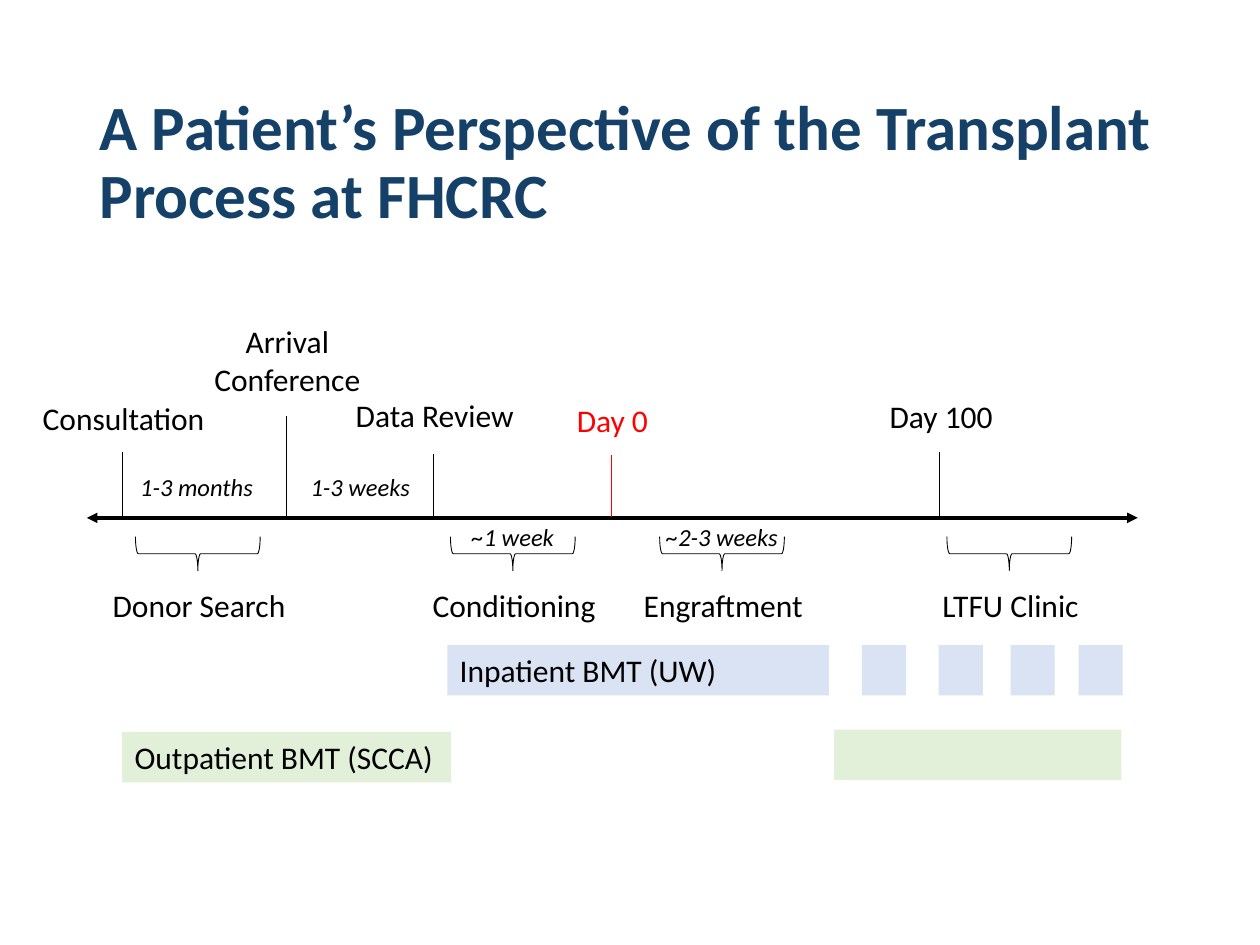
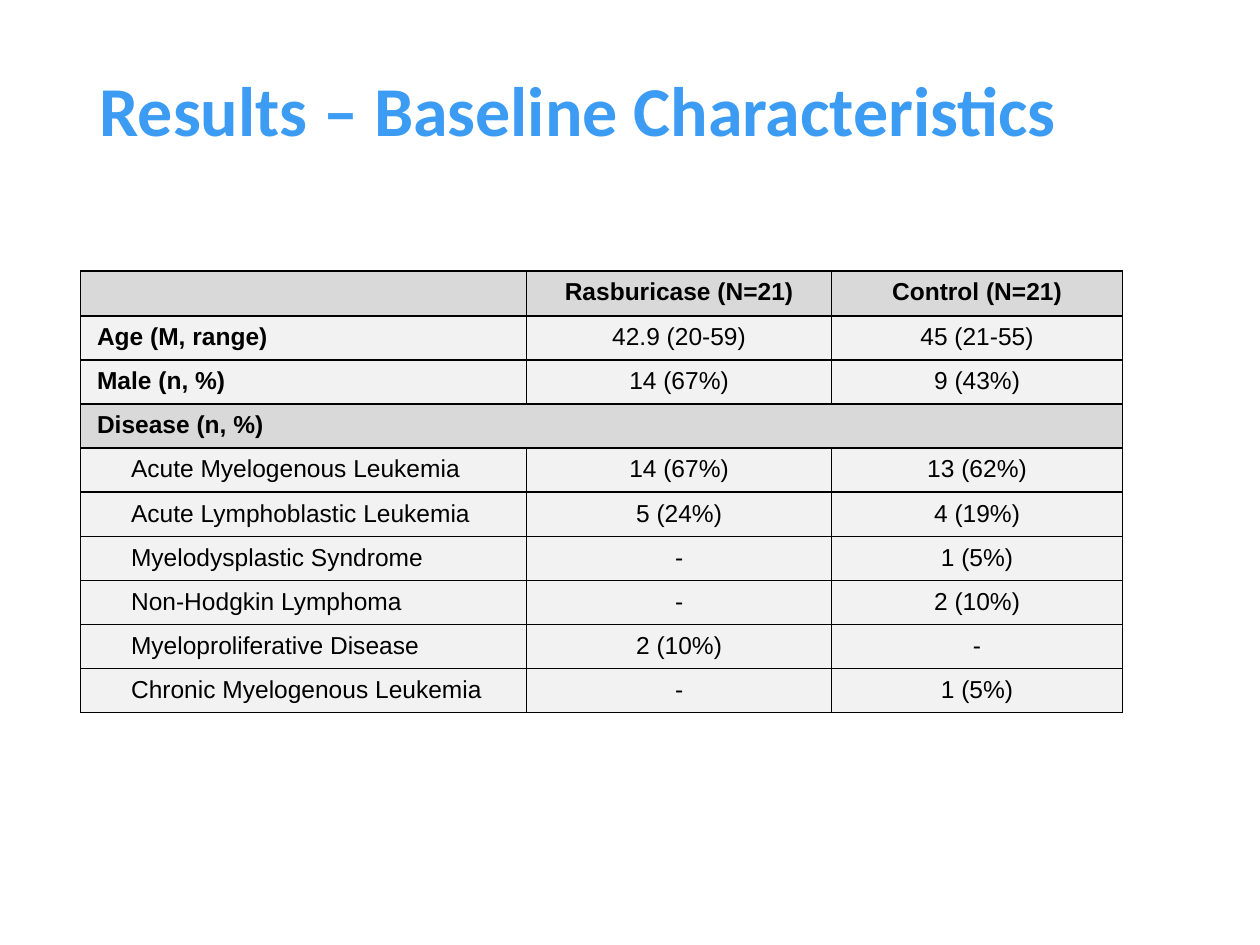
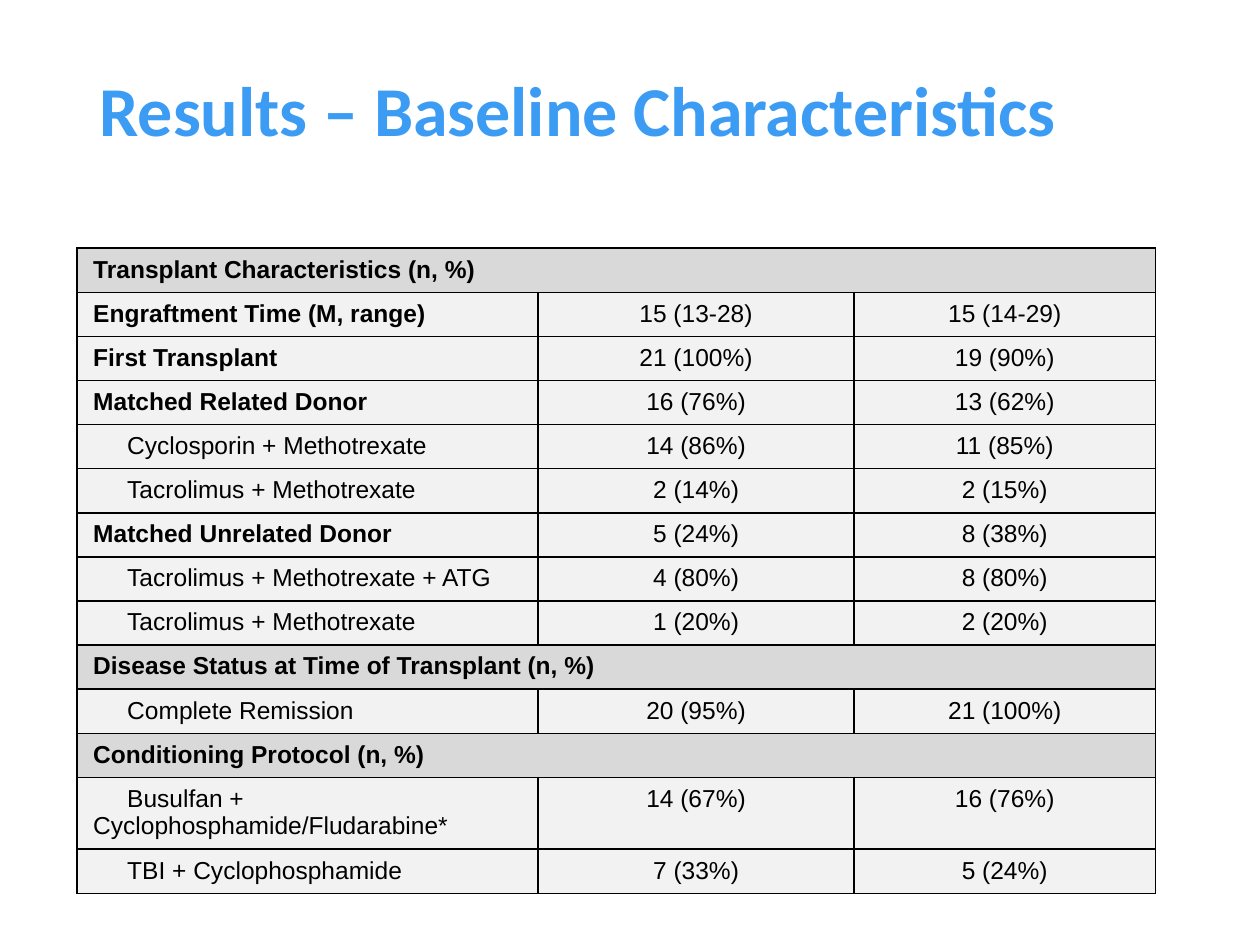
import dataclasses

import lxml.etree
import pptx
import pptx.dml.color
import pptx.enum.shapes
import pptx.enum.text
import pptx.oxml.ns
import pptx.util

Inches = pptx.util.Inches
Pt = pptx.util.Pt
Align = pptx.enum.text.PP_ALIGN
Shape = pptx.enum.shapes.MSO_SHAPE
qn = pptx.oxml.ns.qn


@dataclasses.dataclass(frozen=True)
class Theme:
    heading_font: str = "Calibri"
    table_font: str = "Arial"
    navy: str = "154067"
    blue: str = "3C9CF4"
    black: str = "000000"
    red: str = "FF0000"
    inpatient: str = "DAE3F3"
    outpatient: str = "E2F0D9"
    section: str = "D9D9D9"
    row: str = "F2F2F2"
    long_title_size: int = 36
    title_size: int = 40
    label_size: int = 18
    small_size: int = 14
    hairline: float = 0.5
    axis_line: float = 2


def rgb(color):
    return pptx.dml.color.RGBColor.from_string(color)


class Deck:
    def __init__(self, theme):
        self.theme = theme
        self.presentation = pptx.Presentation()
        self.presentation.slide_width = Inches(10)
        self.presentation.slide_height = Inches(7.5)
        self.slide = None

    def add_slide(self, title, top, height, size, color):
        layout = self.presentation.slide_layouts.get_by_name("Title Only")
        self.slide = self.presentation.slides.add_slide(layout)
        shape = self.slide.shapes.title
        shape.left, shape.top = Inches(0.69), Inches(top)
        shape.width, shape.height = Inches(8.62), Inches(height)
        frame = shape.text_frame
        frame.auto_size = pptx.enum.text.MSO_AUTO_SIZE.NONE
        frame.vertical_anchor = pptx.enum.text.MSO_ANCHOR.MIDDLE
        paragraph = frame.paragraphs[0]
        paragraph.line_spacing = 0.9
        self.add_text(paragraph, title, size, color, Align.LEFT, bold=True)

    def add_text(self, paragraph, text, size, color, alignment,
                 font=None, bold=False, italic=False):
        paragraph.alignment = alignment
        run = paragraph.add_run()
        run.text = text
        run.font.name = font or self.theme.heading_font
        run.font.size = Pt(size)
        run.font.color.rgb = rgb(color)
        run.font.bold = bold
        run.font.italic = italic

    def label(self, text, center, top, width, height=0.4, size=None,
              color=None, italic=False):
        """Add text centred on a horizontal position."""
        box = self.slide.shapes.add_textbox(
            Inches(center - width / 2), Inches(top), Inches(width), Inches(height))
        box.text_frame.word_wrap = True
        self.add_text(box.text_frame.paragraphs[0], text, size or self.theme.label_size,
                      color or self.theme.black, Align.CENTER, italic=italic)

    def line(self, start, end, color, width, arrows=False):
        connector = self.slide.shapes.add_connector(
            pptx.enum.shapes.MSO_CONNECTOR.STRAIGHT,
            *(Inches(value) for value in start + end))
        connector.line.color.rgb = rgb(color)
        connector.line.width = Pt(width)
        properties = connector._element.spPr
        if arrows:
            outline = properties.find(qn("a:ln"))
            for tag in ("a:headEnd", "a:tailEnd"):
                lxml.etree.SubElement(outline, qn(tag), type="triangle")
        lxml.etree.SubElement(properties, qn("a:effectLst"))

    def brace(self, center, top):
        """Add a brace that opens upwards."""
        width, height = 0.27, 0.99
        shape = self.slide.shapes.add_shape(
            Shape.RIGHT_BRACE, Inches(center - width / 2), Inches(top),
            Inches(width), Inches(height))
        shape.rotation = 90
        shape.shadow.inherit = False
        shape.fill.background()
        shape.line.color.rgb = rgb(self.theme.black)
        shape.line.width = Pt(self.theme.hairline)

    def bar(self, left, top, width, color, text=None):
        shape = self.slide.shapes.add_shape(
            Shape.RECTANGLE, Inches(left), Inches(top), Inches(width), Inches(0.4))
        shape.shadow.inherit = False
        shape.fill.solid()
        shape.fill.fore_color.rgb = rgb(color)
        shape.line.fill.background()
        if text:
            shape.text_frame.word_wrap = True
            self.add_text(shape.text_frame.paragraphs[0], text, self.theme.label_size,
                          self.theme.black, Align.LEFT)

    def table(self, left, top, column_widths, rows, tall_rows=()):
        """Add a table of (kind, cell, ...) rows; a section row spans the table."""
        heights = [0.57 if index in tall_rows else 0.35 for index in range(len(rows))]
        table = self.slide.shapes.add_table(
            len(rows), len(column_widths), Inches(left), Inches(top),
            Inches(sum(column_widths)), Inches(sum(heights))).table
        table.first_row = table.horz_banding = False
        for column, width in zip(table.columns, column_widths):
            column.width = Inches(width)
        for index, (kind, *texts) in enumerate(rows):
            table.rows[index].height = Inches(heights[index])
            texts += [""] * (len(column_widths) - len(texts))
            for position, text in enumerate(texts):
                self.table_cell(table.cell(index, position), text, kind, position == 0)
            if kind == "section":
                table.cell(index, 0).merge(table.cell(index, len(column_widths) - 1))

    def table_cell(self, cell, text, kind, is_first):
        theme = self.theme
        cell.margin_left = cell.margin_right = Inches(0.13)
        cell.margin_top = cell.margin_bottom = Inches(0.06)
        properties = cell._tc.get_or_add_tcPr()
        for side in ("L", "R", "T", "B"):
            border = lxml.etree.SubElement(properties, qn("a:ln" + side), w=str(Pt(1)))
            fill = lxml.etree.SubElement(border, qn("a:solidFill"))
            lxml.etree.SubElement(fill, qn("a:srgbClr"), val=theme.black)
        cell.fill.solid()
        cell.fill.fore_color.rgb = rgb(
            theme.section if kind in ("header", "section") else theme.row)
        paragraph = cell.text_frame.paragraphs[0]
        if not text:
            lxml.etree.SubElement(paragraph._p, qn("a:endParaRPr"),
                                  sz=str(theme.small_size * 100))
            return
        self.add_text(paragraph, text, theme.small_size, theme.black,
                      Align.LEFT if is_first else Align.CENTER, font=theme.table_font,
                      bold=kind == "header" or (is_first and kind != "detail"))
        if is_first and kind == "detail":
            paragraph._p.get_or_add_pPr().set("indent", str(Inches(0.27)))


def add_timeline(deck):
    theme = deck.theme
    deck.add_slide("A Patient’s Perspective of the Transplant Process at FHCRC",
                   0.7, 1.2, theme.long_title_size, theme.navy)
    axis = 4.11
    deck.line((0.69, axis), (9.03, axis), theme.black, theme.axis_line, arrows=True)

    events = [
        ("Consultation", 0.98, 3.12, 1.69, 0.4, 3.59, theme.black),
        ("Arrival Conference", 2.28, 2.51, 1.69, 0.71, 3.3, theme.black),
        ("Data Review", 3.45, 3.09, 1.69, 0.4, 3.6, theme.black),
        ("Day 0", 4.86, 3.13, 1.02, 0.4, 3.61, theme.red),
        ("Day 100", 7.47, 3.1, 1.26, 0.4, 3.59, theme.black),
    ]
    for text, center, top, width, height, tick_top, color in events:
        deck.line((center - 0.01, tick_top), (center - 0.01, 4.1), color, theme.hairline)
        deck.label(text, center, top, width, height, color=color)

    phases = [("Donor Search", 1.57), ("Conditioning", 4.07),
              ("Engraftment", 5.73), ("LTFU Clinic", 8.01)]
    for text, center in phases:
        deck.brace(center, 3.9)
        deck.label(text, center + 0.01, 4.6, 1.67)

    durations = [("1-3 months", 1.56, 3.7), ("1-3 weeks", 2.86, 3.7),
                 ("~1 week", 4.07, 4.09), ("~2-3 weeks", 5.73, 4.09)]
    for text, center, top in durations:
        deck.label(text, center, top, 1.37, 0.34, theme.small_size, italic=True)

    deck.bar(0.97, 5.81, 2.61, theme.outpatient, "Outpatient BMT (SCCA)")
    deck.bar(6.62, 5.79, 2.28, theme.outpatient)
    inpatient_top = 5.12
    deck.bar(3.55, inpatient_top, 3.03, theme.inpatient, "Inpatient BMT (UW)")
    for left in (6.84, 7.45, 8.02, 8.56):
        deck.bar(left, inpatient_top, 0.35, theme.inpatient)


def add_results(deck, left, top, column_widths, rows, tall_rows=()):
    deck.add_slide("Results – Baseline Characteristics", 0.4, 1,
                   deck.theme.title_size, deck.theme.blue)
    deck.table(left, top, column_widths, rows, tall_rows)


PATIENT_ROWS = [
    ("header", "", "Rasburicase (N=21)", "Control (N=21)"),
    ("main", "Age (M, range)", "42.9 (20-59)", "45 (21-55)"),
    ("main", "Male (n, %)", "14 (67%)", "9 (43%)"),
    ("section", "Disease (n, %)"),
    ("detail", "Acute Myelogenous Leukemia", "14 (67%)", "13 (62%)"),
    ("detail", "Acute Lymphoblastic Leukemia", "5 (24%)", "4 (19%)"),
    ("detail", "Myelodysplastic Syndrome", "-", "1 (5%)"),
    ("detail", "Non-Hodgkin Lymphoma", "-", "2 (10%)"),
    ("detail", "Myeloproliferative Disease", "2 (10%)", "-"),
    ("detail", "Chronic Myelogenous Leukemia", "-", "1 (5%)"),
]

TRANSPLANT_ROWS = [
    ("section", "Transplant Characteristics (n, %)"),
    ("main", "Engraftment Time (M, range)", "15 (13-28)", "15 (14-29)"),
    ("main", "First Transplant", "21 (100%)", "19 (90%)"),
    ("main", "Matched Related Donor", "16 (76%)", "13 (62%)"),
    ("detail", "Cyclosporin + Methotrexate", "14 (86%)", "11 (85%)"),
    ("detail", "Tacrolimus + Methotrexate", "2 (14%)", "2 (15%)"),
    ("main", "Matched Unrelated Donor", "5 (24%)", "8 (38%)"),
    ("detail", "Tacrolimus + Methotrexate + ATG", "4 (80%)", "8 (80%)"),
    ("detail", "Tacrolimus + Methotrexate", "1 (20%)", "2 (20%)"),
    ("section", "Disease Status at Time of Transplant (n, %)"),
    ("detail", "Complete Remission", "20 (95%)", "21 (100%)"),
    ("section", "Conditioning Protocol (n, %)"),
    ("detail", "Busulfan + Cyclophosphamide/Fludarabine*", "14 (67%)", "16 (76%)"),
    ("detail", "TBI + Cyclophosphamide", "7 (33%)", "5 (24%)"),
]


def main():
    deck = Deck(Theme())
    add_timeline(deck)
    add_results(deck, 0.64, 2.15, (3.54, 2.42, 2.31), PATIENT_ROWS)
    add_results(deck, 0.61, 1.97, (3.66, 2.51, 2.39), TRANSPLANT_ROWS, tall_rows=(12,))
    deck.presentation.save("out.pptx")


if __name__ == "__main__":
    main()
